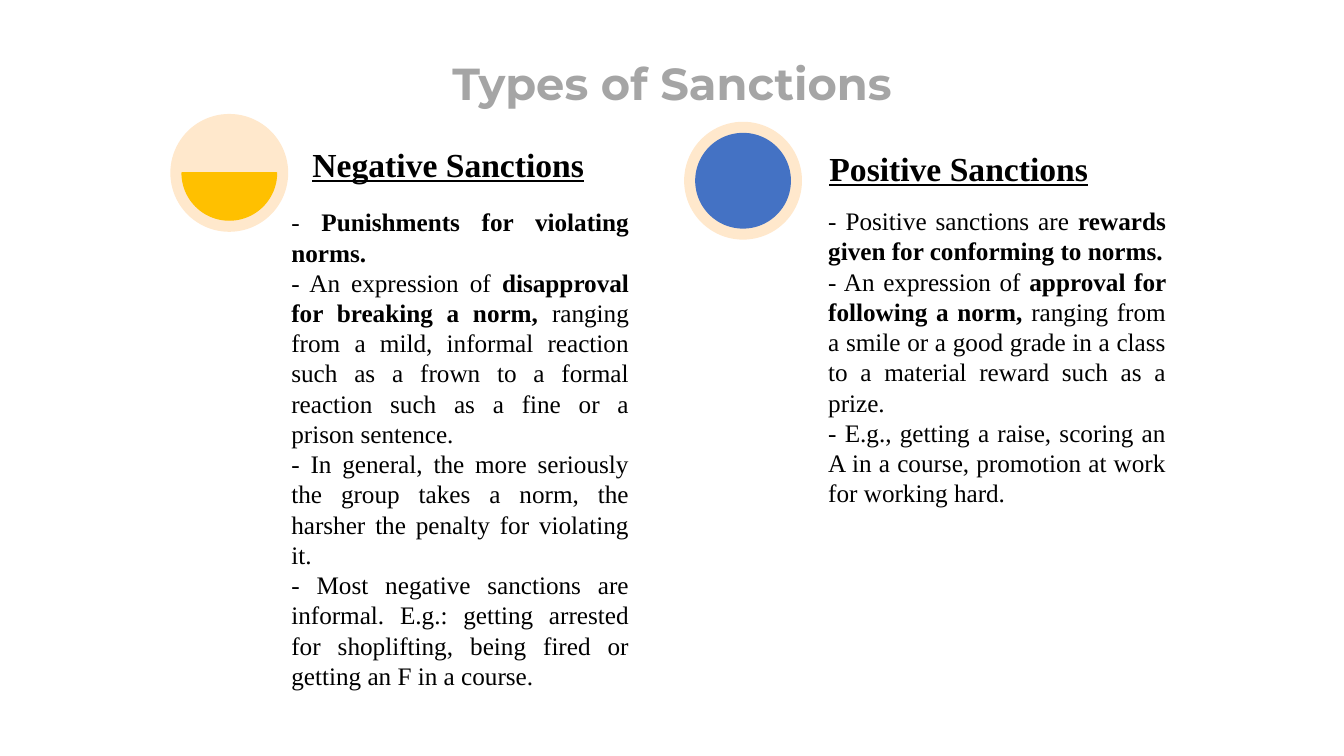
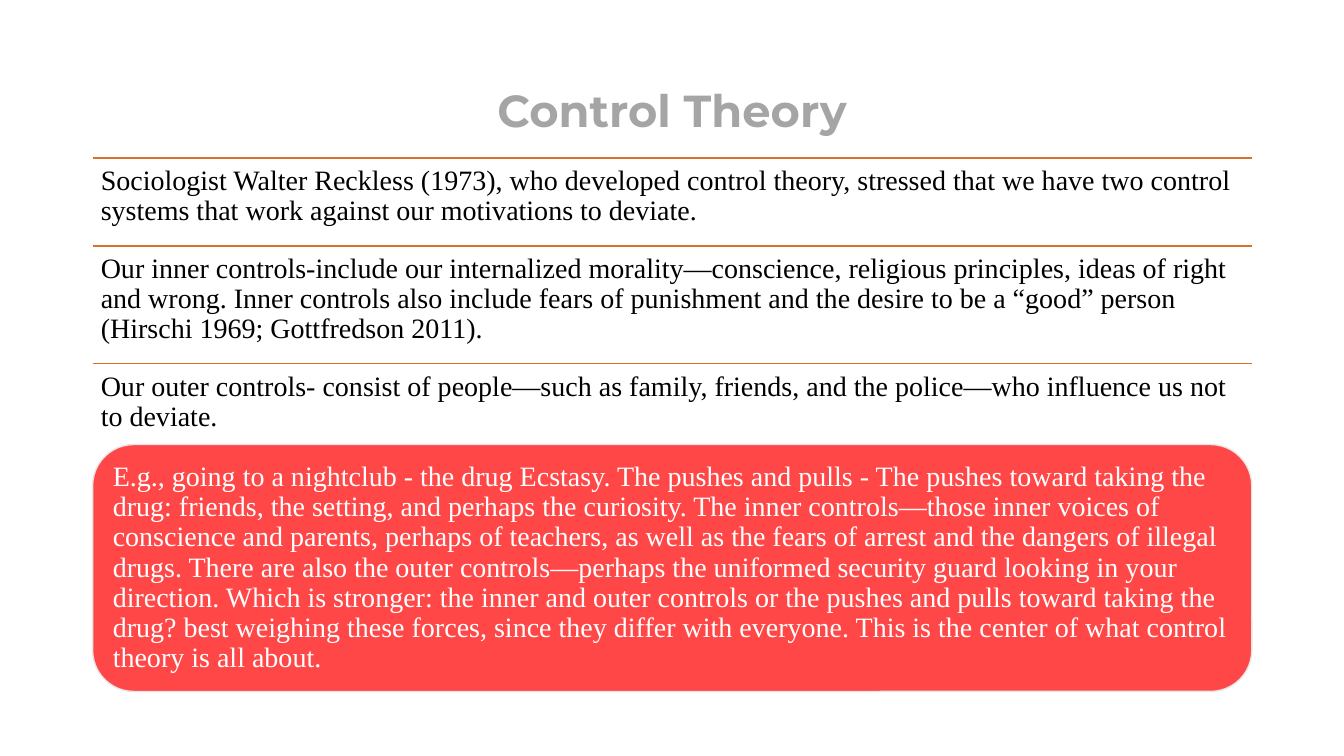
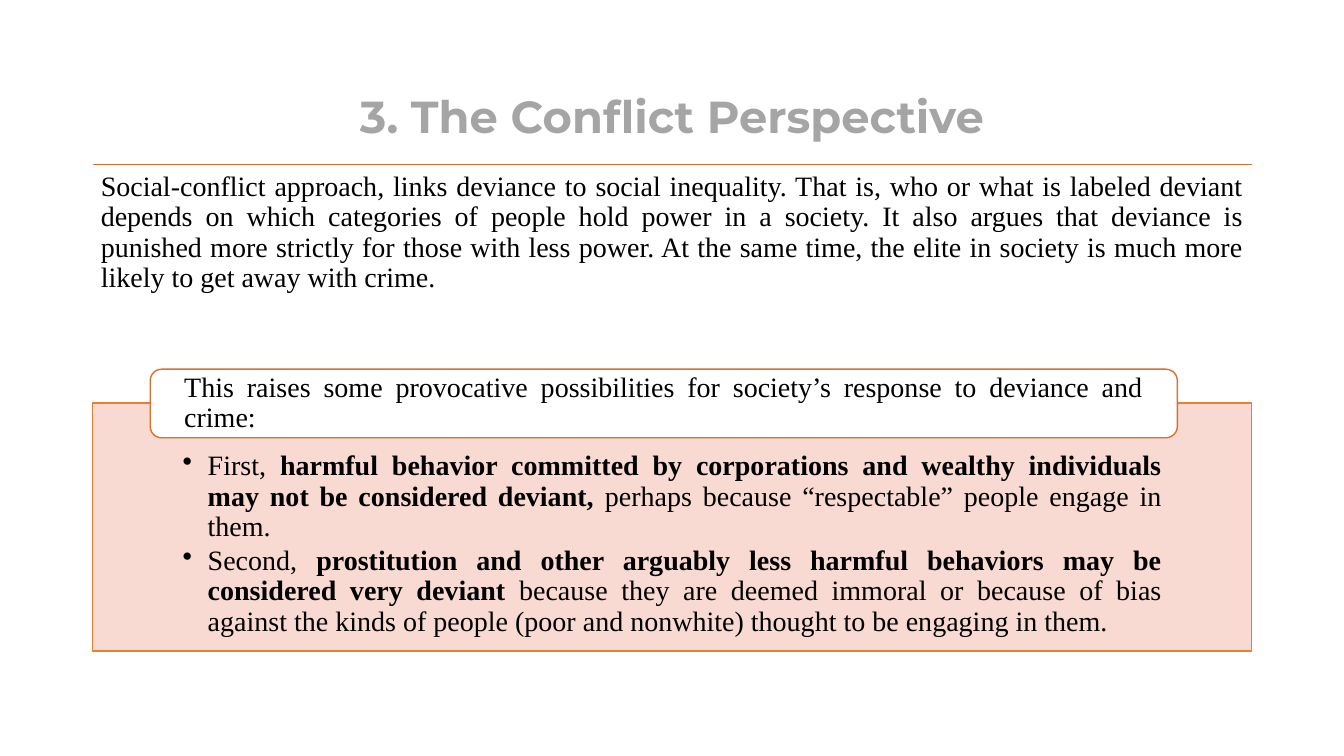
"""Build three sociology slides on sanctions, control theory and the conflict perspective."""
import pptx
import pptx.dml.color
import pptx.enum.shapes
import pptx.enum.text
import pptx.oxml.ns
import pptx.util
from lxml import etree

Pt = pptx.util.Pt
RGB = pptx.dml.color.RGBColor
SHAPE = pptx.enum.shapes.MSO_SHAPE
ALIGN = pptx.enum.text.PP_ALIGN
ANCHOR = pptx.enum.text.MSO_ANCHOR
qn = pptx.oxml.ns.qn

BLACK = RGB(0x00, 0x00, 0x00)
WHITE = RGB(0xFF, 0xFF, 0xFF)
GRAY = RGB(0xA5, 0xA5, 0xA5)
PALE_GRAY = RGB(0xE7, 0xE6, 0xE6)
CREAM = RGB(0xFF, 0xE8, 0xCC)
GOLD = RGB(0xFF, 0xC0, 0x00)
BLUE = RGB(0x44, 0x72, 0xC4)
RED = RGB(0xFF, 0x47, 0x47)
RUST = RGB(0xD7, 0x71, 0x2C)
ORANGE = RGB(0xED, 0x7D, 0x31)
PINK = RGB(0xF8, 0xD7, 0xCE)

LEFT, WIDTH = 66.2, 828
TITLE = {"name": "Montserrat", "size": Pt(32), "bold": True}
HEADING = {"name": "Times New Roman", "size": Pt(24), "bold": True, "underline": True}
CARD = {"name": "Times New Roman", "size": Pt(18)}
BODY = {"name": "Times New Roman", "size": Pt(20)}


def set_all(obj, values):
    """Set each attribute named in values."""
    for name, value in values.items():
        setattr(obj, name, value)


def write(sp, paragraphs, font, color=BLACK, insets=(5.8,) * 4, anchor=ANCHOR.TOP,
          bullet=False, **para):
    """Fill a shape with paragraphs, where ** switches bold on and off."""
    tf = sp.text_frame
    sides = ("margin_left", "margin_top", "margin_right", "margin_bottom")
    set_all(tf, {"word_wrap": True, "vertical_anchor": anchor})
    set_all(tf, {side: Pt(inset) for side, inset in zip(sides, insets)})
    for i, text in enumerate(paragraphs):
        p = tf.add_paragraph() if i else tf.paragraphs[0]
        if bullet:
            pPr = p._p.get_or_add_pPr()
            pPr.set("marL", str(Pt(18)))
            pPr.set("indent", str(-Pt(18)))
            etree.SubElement(pPr, qn("a:buChar")).set("char", "•")
        set_all(p, {"alignment": ALIGN.LEFT, "line_spacing": 0.9} | para)
        for j, part in enumerate(text.split("**")):
            if part:
                r = p.add_run()
                r.text = part
                set_all(r.font, font | ({"bold": True} if j % 2 else {}))
                r.font.color.rgb = color


def add_text(s, box, paragraphs, font, **options):
    """Add a text box."""
    write(s.shapes.add_textbox(*map(Pt, box)), paragraphs, font, **options)


def add_shape(s, kind, box, fill, line=None, adjustments=(), alpha=None):
    """Add a flat preset shape."""
    sp = s.shapes.add_shape(kind, *map(Pt, box))
    sp.shadow.inherit = False
    sp.fill.solid()
    sp.fill.fore_color.rgb = fill
    if alpha:
        clr = sp._element.spPr.find(qn("a:solidFill"))[0]
        etree.SubElement(clr, qn("a:alpha")).set("val", str(alpha * 1000))
    if line is None:
        sp.line.fill.background()
    else:
        sp.line.color.rgb = line
        sp.line.width = Pt(1)
    for i, value in enumerate(adjustments):
        sp.adjustments[i] = value
    return sp


def add_rule(s, y):
    """Add a full-width horizontal rule."""
    cx = s.shapes.add_connector(pptx.enum.shapes.MSO_CONNECTOR.STRAIGHT,
                                Pt(LEFT), Pt(y), Pt(LEFT + WIDTH), Pt(y))
    cx.line.color.rgb = RUST
    cx.line.width = Pt(1)
    etree.SubElement(cx._element.spPr, qn("a:effectLst"))


def add_ruled_text(s, y, height, text, **options):
    """Add a paragraph under a rule."""
    add_rule(s, y)
    add_text(s, (LEFT, y, WIDTH, height), [text], BODY, **options)


def add_dial(s, x, y, fill, angles):
    """Add a cream disc with a chord inside it."""
    add_shape(s, SHAPE.OVAL, (x, y, 84.2, 84.2), CREAM)
    add_shape(s, SHAPE.CHORD, (x + 8.4, y + 8.4, 67.4, 67.4), fill, fill, angles)


def add_card(s, heading_box, heading, body_box, paragraphs):
    """Add an underlined heading and its justified text."""
    add_text(s, body_box, paragraphs, CARD, insets=(3.6,) * 4,
             alignment=ALIGN.JUSTIFY, line_spacing=1.0)
    add_text(s, heading_box, [heading], HEADING, insets=(5,) * 4, anchor=ANCHOR.BOTTOM)


def add_slide(prs, title, y, height):
    """Add a blank slide with a centred title."""
    s = prs.slides.add_slide(prs.slide_layouts[6])
    add_text(s, (LEFT, y, WIDTH, height), [title], TITLE, color=GRAY,
             anchor=ANCHOR.MIDDLE, alignment=ALIGN.CENTER)
    return s


def sanctions(prs):
    """Build the slide comparing sanctions."""
    s = add_slide(prs, "Types of Sanctions", 9.2, 104.4)
    add_dial(s, 121.7, 81.4, GOLD, (0, 108))
    add_card(s, (218.2, 91.4, 248.4, 45.4), "Negative Sanctions", (204.5, 144, 248.4, 373.7), [
        "- **Punishments for violating norms.**",
        "- An expression of **disapproval for breaking a norm,** ranging from a mild, informal "
        "reaction such as a frown to a formal reaction such as a fine or a prison sentence.",
        "- In general, the more seriously the group takes a norm, the harsher the penalty for "
        "violating it.",
        "- Most negative sanctions are informal. E.g.: getting arrested for shoplifting, being "
        "fired or getting an F in a course.",
    ])
    add_dial(s, 488.7, 87, BLUE, (162, 162))
    add_card(s, (587.5, 99.4, 248.4, 40.3), "Positive Sanctions", (588, 143.3, 248.4, 352.8), [
        "- Positive sanctions are **rewards given for conforming to norms.**",
        "- An expression of **approval for following a norm,** ranging from a smile or a good "
        "grade in a class to a material reward such as a prize.",
        "- E.g., getting a raise, scoring an A in a course, promotion at work for working hard.",
    ])


def control_theory(prs):
    """Build the slide on control theory."""
    s = add_slide(prs, "Control Theory", 28.8, 104.4)
    y = 113
    for height, text in (
        (62.6, "Sociologist Walter Reckless (1973), who developed control theory, stressed that "
               "we have two control systems that work against our motivations to deviate."),
        (84.2, "Our inner controls-include our internalized morality—conscience, religious "
               "principles, ideas of right and wrong. Inner controls also include fears of "
               "punishment and the desire to be a “good” person (Hirschi 1969; Gottfredson "
               "2011)."),
        (62.6, "Our outer controls- consist of people—such as family, friends, and the "
               "police—who influence us not to deviate."),
    ):
        add_ruled_text(s, y, height, text)
        y += height
    sp = add_shape(s, SHAPE.ROUNDED_RECTANGLE, (LEFT, 317.5, WIDTH, 176.4), RED, PALE_GRAY)
    write(sp, [
        "E.g., going to a nightclub - the drug Ecstasy. The pushes and pulls - The pushes toward "
        "taking the drug: friends, the setting, and perhaps the curiosity. The inner "
        "controls—those inner voices of conscience and parents, perhaps of teachers, as well as "
        "the fears of arrest and the dangers of illegal drugs. There are also the outer "
        "controls—perhaps the uniformed security guard looking in your direction. Which is "
        "stronger: the inner and outer controls or the pushes and pulls toward taking the drug? "
        "best weighing these forces, since they differ with everyone. This is the center of what "
        "control theory is all about.",
    ], BODY, color=WHITE, anchor=ANCHOR.MIDDLE)


def conflict_perspective(prs):
    """Build the slide on the conflict perspective."""
    s = add_slide(prs, "3. The Conflict Perspective", 52.6, 64.8)
    add_ruled_text(
        s, 117.4, 116,
        "Social-conflict approach, links deviance to social inequality. That is, who or what is "
        "labeled deviant depends on which categories of people hold power in a society. It also "
        "argues that deviance is punished more strictly for those with less power. At the same "
        "time, the elite in society is much more likely to get away with crime.",
        alignment=ALIGN.JUSTIFY)
    sp = add_shape(s, SHAPE.RECTANGLE, (LEFT, 288, WIDTH, 177.1), PINK, ORANGE, alpha=90)
    write(sp, [
        "First, **harmful behavior committed by corporations and wealthy individuals may not be "
        "considered deviant,** perhaps because “respectable” people engage in them.",
        "Second, **prostitution and other arguably less harmful behaviors may be considered very "
        "deviant** because they are deemed immoral or because of bias against the kinds of "
        "people (poor and nonwhite) thought to be engaging in them.",
    ], BODY, insets=(64.2, 34.6, 64.2, 11.5), bullet=True, alignment=ALIGN.JUSTIFY,
        space_after=Pt(3))
    sp = add_shape(s, SHAPE.ROUNDED_RECTANGLE, (107.3, 263.7, 733.7, 49), WHITE, RUST)
    write(sp, [
        "This raises some provocative possibilities for society’s response to deviance and crime:",
    ], BODY, insets=(21.9, 0, 21.9, 0), anchor=ANCHOR.MIDDLE, alignment=ALIGN.JUSTIFY)


def main():
    """Build and save the presentation."""
    prs = pptx.Presentation()
    set_all(prs, {"slide_width": Pt(960), "slide_height": Pt(540)})
    for build in (sanctions, control_theory, conflict_perspective):
        build(prs)
    prs.save("out.pptx")


if __name__ == "__main__":
    main()
